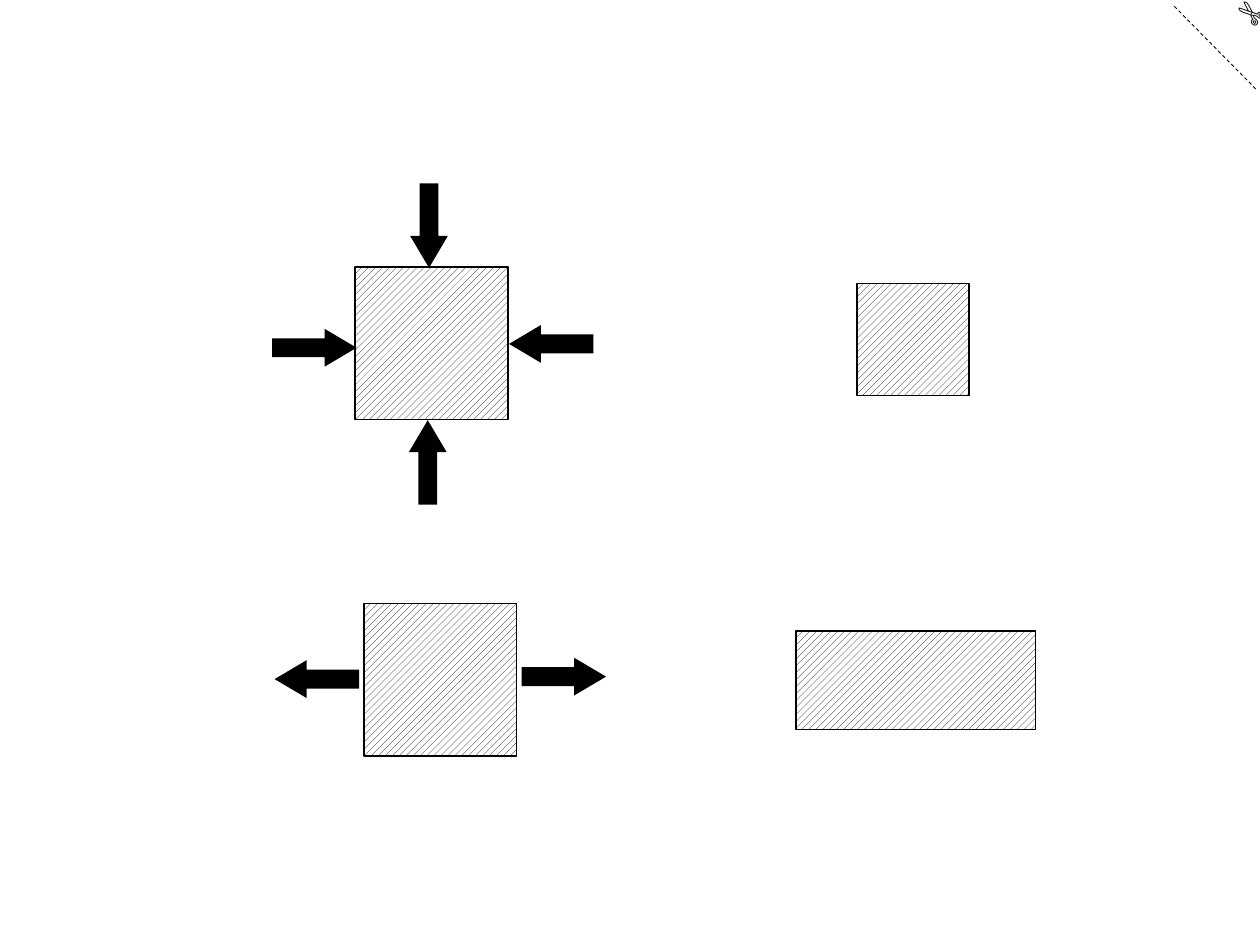
"""Build a slide of hatched blocks under compression and tension."""
from pptx import Presentation
from pptx.dml.color import RGBColor
from pptx.enum.dml import MSO_LINE, MSO_PATTERN
from pptx.enum.shapes import MSO_CONNECTOR, MSO_SHAPE
from pptx.enum.text import MSO_AUTO_SIZE
from pptx.oxml.ns import qn
from pptx.util import Inches, Pt
from lxml.etree import SubElement

BLACK = RGBColor(0x00, 0x00, 0x00)
WHITE = RGBColor(0xFF, 0xFF, 0xFF)

prs = Presentation()
prs.slide_width, prs.slide_height = Inches(10), Inches(7.5)
s = prs.slides.add_slide(prs.slide_layouts[6])

cut = s.shapes.add_connector(MSO_CONNECTOR.STRAIGHT, Inches(9.32), Inches(0.05), Inches(9.98), Inches(0.72))
cut.line.color.rgb = BLACK
cut.line.width = Pt(0.5)
cut.line.dash_style = MSO_LINE.DASH
SubElement(cut._element.spPr, qn("a:effectLst"))

scissors = s.shapes.add_textbox(Inches(9.71), Inches(-0.09), Inches(0.42), Inches(0.4))
scissors.rotation = 220.5
tf = scissors.text_frame
tf.word_wrap = True
tf.auto_size = MSO_AUTO_SIZE.SHAPE_TO_FIT_TEXT
tf.text = "✄"
r = tf.paragraphs[0].runs[0]
r.font.size = Pt(18)
r.font.name = "Calibri"
r.font.color.rgb = BLACK

blocks = [
    (2.82, 2.12, 1.21, 1.21),
    (2.89, 4.79, 1.21, 1.21),
    (6.32, 5.01, 1.9, 0.78),
    (6.8, 2.25, 0.89, 0.89),
]
for box in blocks:
    sp = s.shapes.add_shape(MSO_SHAPE.RECTANGLE, *map(Inches, box))
    sp.shadow.inherit = False
    sp.fill.patterned()
    sp.fill.pattern = MSO_PATTERN.WIDE_UPWARD_DIAGONAL
    sp.fill.fore_color.rgb = BLACK
    sp.fill.back_color.rgb = WHITE
    sp.line.color.rgb = BLACK
    sp.line.width = Pt(1)

arrows = [
    (2.16, 2.61, 180),
    (3.07, 1.64, 270),
    (4.04, 2.58, 0),
    (3.06, 3.52, 90),
    (4.14, 5.22, 180),
    (2.18, 5.24, 0),
]
for x, y, angle in arrows:
    sp = s.shapes.add_shape(MSO_SHAPE.LEFT_ARROW, Inches(x), Inches(y), Inches(0.67), Inches(0.3))
    sp.rotation = angle
    sp.adjustments[0] = 0.5
    sp.adjustments[1] = 0.846
    sp.shadow.inherit = False
    sp.fill.solid()
    sp.fill.fore_color.rgb = BLACK
    sp.line.fill.background()

prs.save("out.pptx")
